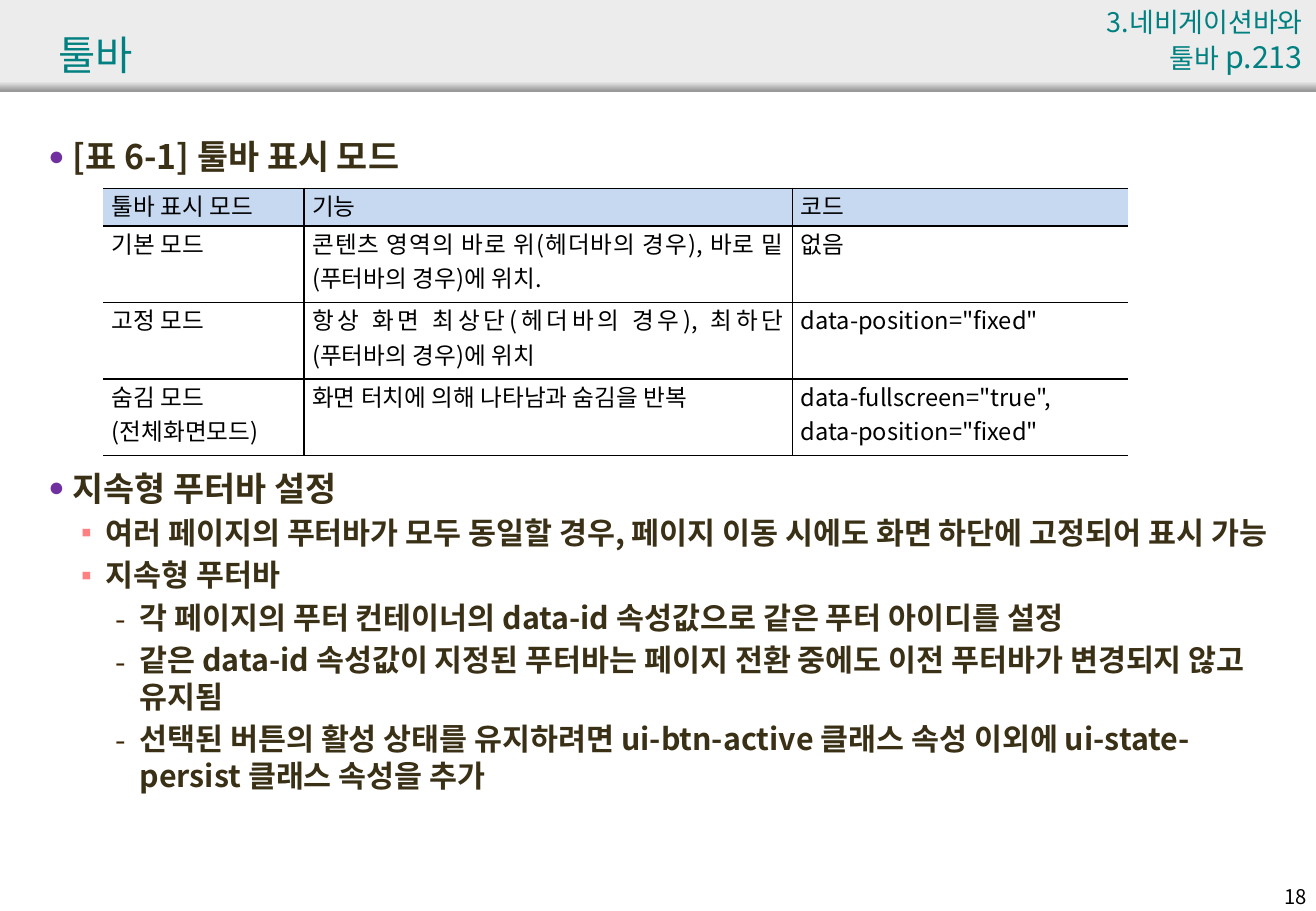
from dataclasses import dataclass

from lxml import etree
from pptx import Presentation
from pptx.dml.color import RGBColor
from pptx.enum.shapes import MSO_SHAPE as Shape
from pptx.enum.text import MSO_ANCHOR as Anchor, PP_ALIGN as Align
from pptx.oxml.ns import qn
from pptx.util import Inches, Pt

FONT = "Noto Sans CJK KR"
SYMBOL_FONT = "Arial"
TEAL, BROWN, BLACK = "008080", "3A3016", "000000"
HEADER_GRAY, EDGE_GRAY, HEAD_BLUE = "ECECEC", "979797", "C6D9F1"
COLUMN_WIDTHS = (1.65, 4.02, 2.76)
ROW_HEIGHTS = (0.31, 0.63, 0.63, 0.63)
MODE_ROWS = (
    ("툴바 표시 모드", "기능", "코드"),
    ("기본 모드", "콘텐츠 영역의 바로 위(헤더바의 경우), 바로 밑(푸터바의 경우)에 위치.", "없음"),
    ("고정 모드", "항상 화면 최상단(헤더바의 경우), 최하단(푸터바의 경우)에 위치",
     'data-position="fixed"'),
    ("숨김 모드\n(전체화면모드)", "화면 터치에 의해 나타남과 숨김을 반복",
     'data-fullscreen="true",\ndata-position="fixed"'),
)


@dataclass(frozen=True)
class Level:
    size: int
    indent: float
    bullet: str
    bullet_color: str
    bullet_font: str = SYMBOL_FONT
    bullet_percent: int = 100


@dataclass(frozen=True)
class Item:
    level: Level
    text: str


@dataclass(frozen=True)
class Label:
    left: float
    top: float
    width: float
    height: float
    spans: tuple[tuple[str, int], ...]
    color: str
    align: Align = Align.LEFT
    anchor: Anchor = Anchor.TOP


HEADING = Level(20, 0.2, "●", "7030A0", bullet_percent=80)
POINT = Level(18, 0.47, "▪", "FF8080")
DETAIL = Level(18, 0.75, "-", "3D2505", FONT)

TABLE_HEADING = (Item(HEADING, "[표 6-1] 툴바 표시 모드"),)
FOOTER_ITEMS = (
    Item(HEADING, "지속형 푸터바 설정"),
    Item(POINT, "여러 페이지의 푸터바가 모두 동일할 경우, 페이지 이동 시에도 화면 하단에 고정되어 표시 가능"),
    Item(POINT, "지속형 푸터바"),
    Item(DETAIL, "각 페이지의 푸터 컨테이너의 data-id 속성값으로 같은 푸터 아이디를 설정"),
    Item(DETAIL, "같은 data-id 속성값이 지정된 푸터바는 페이지 전환 중에도 이전 푸터바가 변경되지 않고 유지됨"),
    Item(DETAIL, "선택된 버튼의 활성 상태를 유지하려면 ui-btn-active 클래스 속성 이외에 "
                 "ui-state-persist 클래스 속성을 추가"),
)
LABELS = (
    Label(0.38, 0.13, 9.92, 0.63, (("툴바", 24),), TEAL, anchor=Anchor.MIDDLE),
    Label(8.66, 0, 2.16, 0.7, (("3.네비게이션바와 툴바 ", 16), ("p.213", 18)), TEAL, Align.RIGHT),
    Label(10.3, 7.23, 0.55, 0.3, (("18", 12),), BLACK, Align.RIGHT),
)


def rgb(value: str) -> RGBColor:
    return RGBColor.from_string(value)


def add_color(parent, value: str) -> None:
    etree.SubElement(parent, qn("a:srgbClr"), val=value)


def style_span(span, size: int, color: str, bold: bool = False) -> None:
    span.font.size = Pt(size)
    span.font.bold = bold
    span.font.color.rgb = rgb(color)
    span.font.name = FONT
    props = span.font._element
    props.set("kern", "0")
    etree.SubElement(props, qn("a:ea"), typeface=FONT)


def add_box(page, left: float, top: float, width: float, height: float):
    box = page.shapes.add_textbox(Inches(left), Inches(top), Inches(width), Inches(height))
    box.text_frame.word_wrap = True
    return box


def add_label(page, label: Label) -> None:
    frame = add_box(page, label.left, label.top, label.width, label.height).text_frame
    frame.vertical_anchor = label.anchor
    para = frame.paragraphs[0]
    para.alignment = label.align
    for text, size in label.spans:
        span = para.add_run()
        span.text = text
        style_span(span, size, label.color)


def add_bullet(para, level: Level) -> None:
    props = para._p.get_or_add_pPr()
    props.set("marL", str(Inches(level.indent)))
    props.set("indent", str(-Inches(0.2)))
    add_color(etree.SubElement(props, qn("a:buClr")), level.bullet_color)
    etree.SubElement(props, qn("a:buSzPct"), val=str(level.bullet_percent * 1000))
    etree.SubElement(props, qn("a:buFont"), typeface=level.bullet_font)
    etree.SubElement(props, qn("a:buChar"), char=level.bullet)


def add_items(page, top: float, height: float, items: tuple[Item, ...]) -> None:
    frame = add_box(page, 0.3, top, 10.32, height).text_frame
    frame.text = "\n".join(item.text for item in items)
    for para, item in zip(frame.paragraphs, items):
        para.space_before = Pt(item.level.size * 0.2)
        add_bullet(para, item.level)
        style_span(para.runs[0], item.level.size, BROWN, bold=True)


def add_band(page, top: float, height: float):
    band = page.shapes.add_shape(Shape.RECTANGLE, 0, Inches(top), Inches(10.83), Inches(height))
    band.shadow.inherit = False
    band.line.fill.background()
    return band


def add_header(page) -> None:
    header = add_band(page, 0, 0.75)
    header.fill.solid()
    header.fill.fore_color.rgb = rgb(HEADER_GRAY)
    edge = add_band(page, 0.67, 0.08)
    edge.fill.gradient()
    edge.fill.gradient_angle = 270
    for stop, position, color in zip(edge.fill.gradient_stops, (0, 1), (HEADER_GRAY, EDGE_GRAY)):
        stop.position = position
        stop.color.rgb = rgb(color)


def set_borders(cell, column: int) -> None:
    props = cell._tc.get_or_add_tcPr()
    shown = {"L": column > 0, "R": column < len(COLUMN_WIDTHS) - 1, "T": True, "B": True}
    for position, (side, visible) in enumerate(shown.items()):
        line = etree.Element(qn(f"a:ln{side}"), w=str(Pt(1)))
        fill = etree.SubElement(line, qn("a:solidFill" if visible else "a:noFill"))
        if visible:
            add_color(fill, BLACK)
        props.insert(position, line)


def fill_cell(cell, text: str, row: int, column: int) -> None:
    cell.margin_left = cell.margin_right = Inches(0.07)
    cell.margin_top = cell.margin_bottom = 0
    if row == 0:
        cell.fill.solid()
        cell.fill.fore_color.rgb = rgb(HEAD_BLUE)
    else:
        cell.fill.background()
    set_borders(cell, column)
    cell.text_frame.text = text
    for para in cell.text_frame.paragraphs:
        para.alignment = Align.JUSTIFY
        style_span(para.runs[0], 14, BLACK)


def add_mode_table(page) -> None:
    table = page.shapes.add_table(
        len(ROW_HEIGHTS), len(COLUMN_WIDTHS), Inches(0.85), Inches(1.55),
        Inches(sum(COLUMN_WIDTHS)), Inches(sum(ROW_HEIGHTS))).table
    table.first_row = table.horz_banding = False
    for column, width in zip(table.columns, COLUMN_WIDTHS):
        column.width = Inches(width)
    for row, height in zip(table.rows, ROW_HEIGHTS):
        row.height = Inches(height)
    for row, texts in enumerate(MODE_ROWS):
        for column, text in enumerate(texts):
            fill_cell(table.cell(row, column), text, row, column)


def main() -> None:
    deck = Presentation()
    deck.slide_width, deck.slide_height = Inches(10.83), Inches(7.5)
    page = deck.slides.add_slide(deck.slide_layouts[6])
    add_header(page)
    for label in LABELS:
        add_label(page, label)
    add_items(page, 1.07, 0.45, TABLE_HEADING)
    add_mode_table(page)
    add_items(page, 3.8, 3.4, FOOTER_ITEMS)
    deck.save("out.pptx")


if __name__ == "__main__":
    main()
